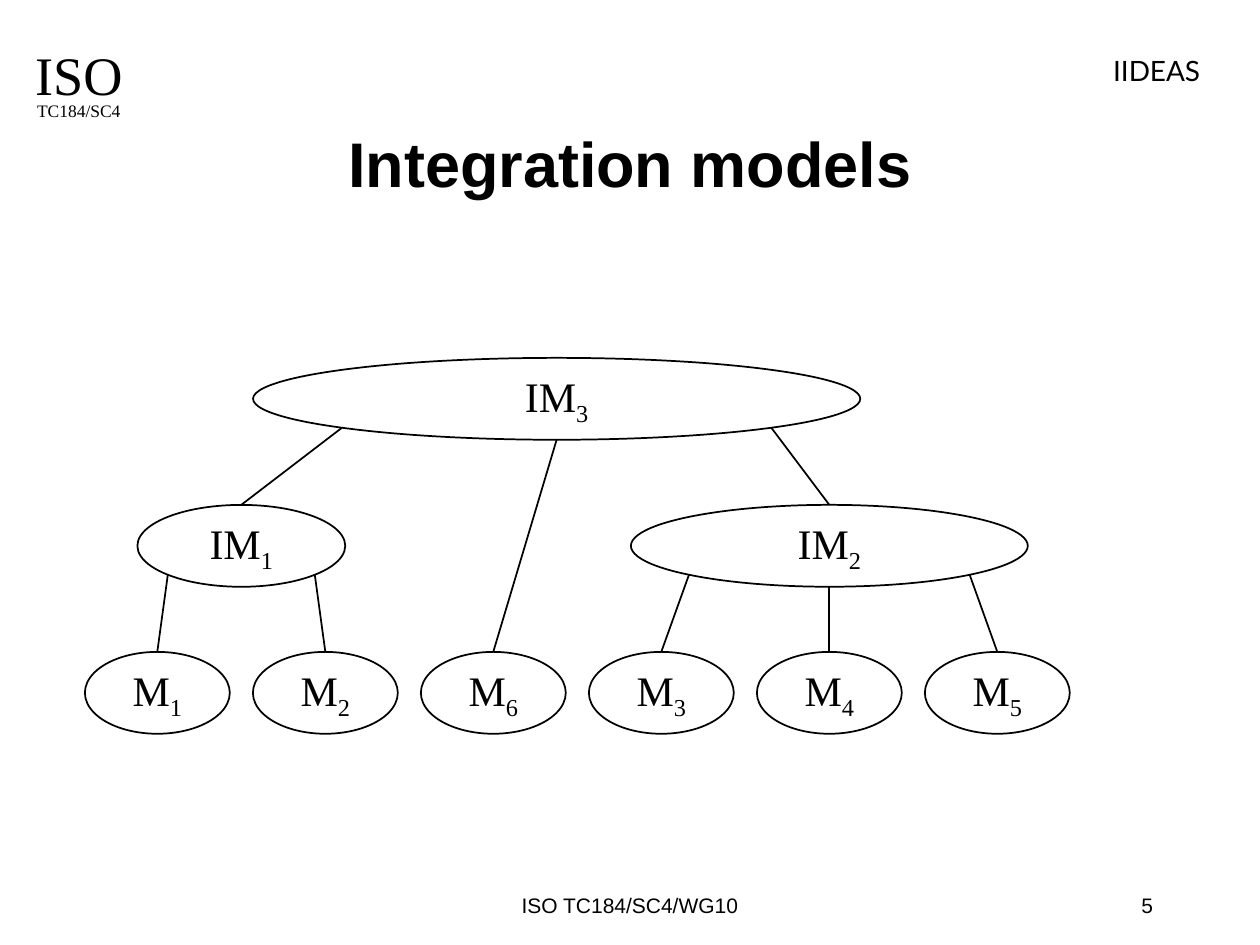
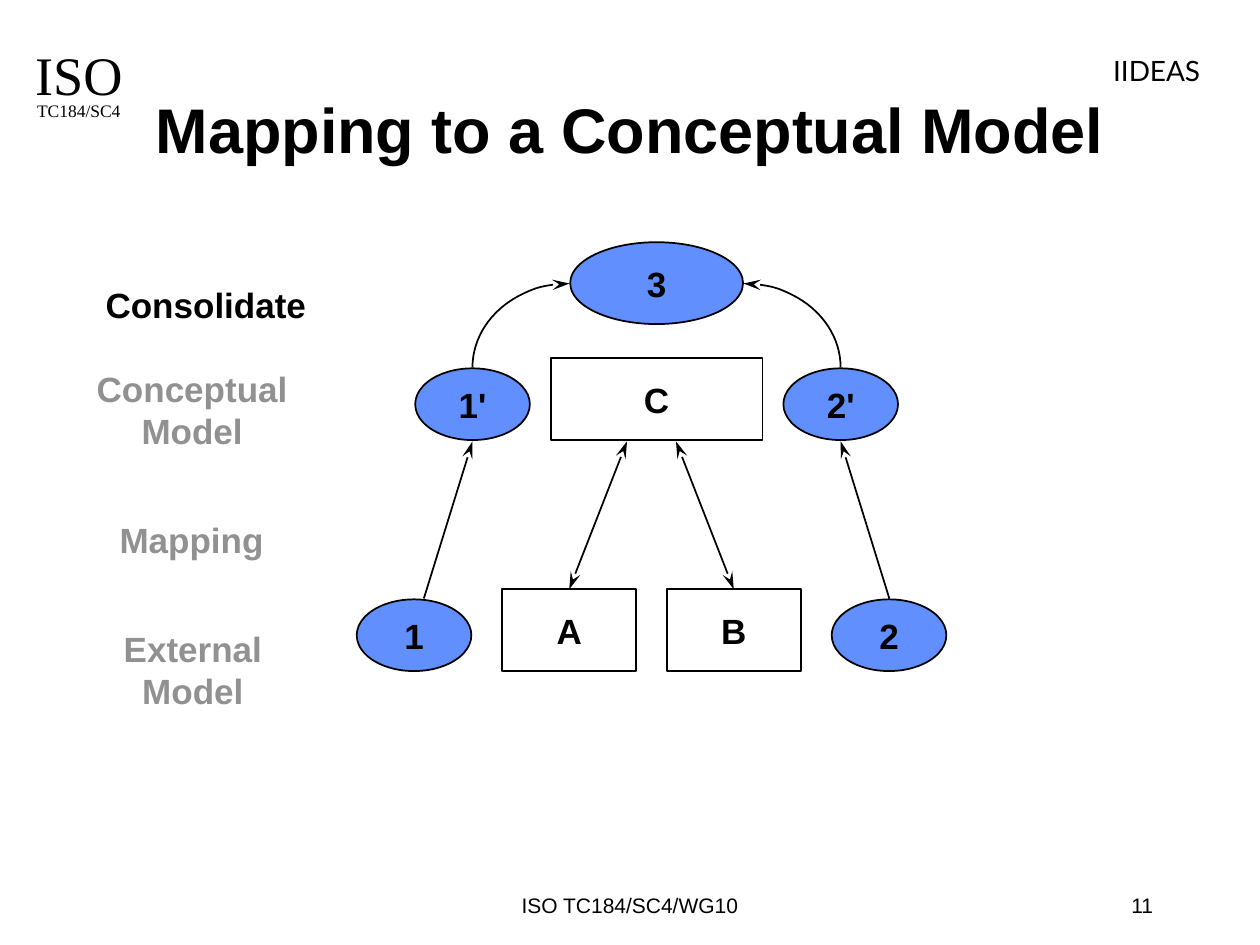
from lxml import etree
from pptx import Presentation
from pptx.dml.color import RGBColor
from pptx.enum.shapes import MSO_CONNECTOR, MSO_SHAPE
from pptx.enum.text import MSO_ANCHOR, MSO_AUTO_SIZE, PP_ALIGN
from pptx.oxml.ns import qn
from pptx.util import Pt

OVAL, RECT, ARC = MSO_SHAPE.OVAL, MSO_SHAPE.RECTANGLE, MSO_SHAPE.ARC
STRAIGHT = MSO_CONNECTOR.STRAIGHT
LEFT, CENTER, RIGHT = PP_ALIGN.LEFT, PP_ALIGN.CENTER, PP_ALIGN.RIGHT
TOP, MIDDLE, BOTTOM = MSO_ANCHOR.TOP, MSO_ANCHOR.MIDDLE, MSO_ANCHOR.BOTTOM

COLORS = {
    "ink": "000000",
    "paper": "FFFFFF",
    "faded": "919191",
    "instance": "618FFD",
}
SANS, SERIF, BRAND = "Arial", "Times New Roman", "Lato"
TITLE_ONLY = 5
TOP_SIDE = 0
DIAGONAL = 0.5 ** 0.5


def rgb(name):
    return RGBColor.from_string(COLORS[name])


def points(*lengths):
    return [Pt(round(length, 2)) for length in lengths]


def write(shape, text, size, font=SANS, color="ink", bold=False, align=CENTER,
          anchor=MIDDLE, wrap=False, subscript=""):
    frame = shape.text_frame
    frame.text = text
    frame.word_wrap = wrap
    frame.auto_size = MSO_AUTO_SIZE.NONE
    frame.vertical_anchor = anchor
    paragraph = frame.paragraphs[0]
    paragraph.alignment = align
    if subscript:
        lowered = paragraph.add_run()
        lowered.text = subscript
        lowered._r.get_or_add_rPr().set("baseline", "-25000")
    for run in paragraph.runs:
        run.font.name, run.font.size, run.font.bold = font, Pt(size), bold
        run.font.color.rgb = rgb(color)


def add_label(slide, box, text, size, **style):
    write(slide.shapes.add_textbox(*points(*box)), text, size, **style)


def add_outlined(slide, kind, box, fill=None):
    shape = slide.shapes.add_shape(kind, *points(*box))
    shape.shadow.inherit = False
    if fill:
        shape.fill.solid()
        shape.fill.fore_color.rgb = rgb(fill)
    else:
        shape.fill.background()
    draw_line(shape.line)
    return shape


def draw_line(line):
    line.color.rgb = rgb("ink")
    line.width = Pt(1)


def add_arrowheads(line, *ends):
    """Put a long stealth head on "headEnd" (start) and/or "tailEnd" (finish)."""
    for end in ends:
        head = etree.SubElement(line._get_or_add_ln(), qn("a:" + end))
        head.set("type", "stealth")
        head.set("len", "lg")


def add_link(slide, start, end, *heads):
    link = slide.shapes.add_connector(STRAIGHT, *points(*start, *end))
    draw_line(link.line)
    add_arrowheads(link.line, *heads)
    etree.SubElement(link._element.spPr, qn("a:effectLst"))
    return link


def add_committee_mark(slide, left, top):
    add_label(slide, (left, top, 54, 36), "ISO", 31, font=SERIF)
    add_label(slide, (left, top + 30, 54, 18), "TC184/SC4", 10, font=SERIF)


def add_project_name(slide, left, top):
    add_label(slide, (left, top, 65, 26.6), "IIDEAS", 16, font=BRAND,
              align=LEFT, anchor=TOP)


def add_footer(slide, top, number):
    style = {"anchor": BOTTOM, "wrap": True}
    add_label(slide, (216, top, 288, 36), "ISO TC184/SC4/WG10", 12, **style)
    add_label(slide, (516, top, 150, 36), str(number), 12, align=RIGHT, **style)


def add_page(deck, title, number, title_anchor):
    slide = deck.slides.add_slide(deck.slide_layouts[TITLE_ONLY])
    add_committee_mark(slide, 18, 24)
    add_project_name(slide, 629, 27)
    heading = slide.shapes.title
    heading.left, heading.top, heading.width, heading.height = points(54, 48, 612, 90)
    write(heading, title, 36, bold=True, anchor=title_anchor, wrap=True)
    add_footer(slide, 492, number)
    return slide


def add_model_tree(slide, left, top):
    pitch, level, height = 96, 84, 46.8
    leaf_width = 82.8
    models = {}

    def add_model(name, center, row, width):
        box = (left + center - width / 2, top + row * level, width, height)
        models[name] = add_outlined(slide, OVAL, box)
        write(models[name], name[:-1], 24, font=SERIF, subscript=name[-1])

    def link_child(parent, child, side):
        """Link from the parent's lower left (-1), bottom (0) or lower right (1)."""
        oval, target = models[parent], models[child]
        half_width, half_height = oval.width.pt / 2, oval.height.pt / 2
        x = oval.left.pt + half_width * (1 + side * DIAGONAL)
        y = oval.top.pt + half_height * (1 + (DIAGONAL if side else 1))
        link = add_link(slide, (x, y), (target.left.pt, target.top.pt))
        link.end_connect(target, TOP_SIDE)

    for column, name in enumerate(["M1", "M2", "M6", "M3", "M4", "M5"]):
        add_model(name, leaf_width / 2 + column * pitch, 2, leaf_width)
    add_model("IM1", leaf_width / 2 + pitch / 2, 1, 118.8)
    add_model("IM2", leaf_width / 2 + 4 * pitch, 1, 226.8)
    add_model("IM3", 269.6, 0, 347)

    children = {
        "IM1": {"M1": -1, "M2": 1},
        "IM2": {"M3": -1, "M4": 0, "M5": 1},
        "IM3": {"IM1": -1, "M6": 0, "IM2": 1},
    }
    for parent, sides in children.items():
        for child, side in sides.items():
            link_child(parent, child, side)


def add_stage_labels(slide, left, top):
    stages = [
        ("Consolidate", 0, 0, 141.8, 31, "ink"),
        ("Conceptual Model", 0, 48.2, 126, 55.4, "faded"),
        ("Mapping", 8, 134.6, 109.4, 31, "faded"),
        ("External Model", 8, 196.6, 110.9, 55.4, "faded"),
    ]
    for text, dx, dy, width, height, color in stages:
        add_label(slide, (left + dx, top + dy, width, height), text, 20,
                  color=color, bold=True, anchor=TOP, wrap=True)


def add_mapping_diagram(slide, axis, top):
    """Mirror the upper rows about axis, and the external row just left of it."""
    lower_axis = axis - 2.9
    upper_bottom = top + 113.3
    lower_bottom = top + 245.3

    def add_node(kind, text, center, bottom, width, height, fill):
        box = (center - width / 2, bottom - height, width, height)
        node = add_outlined(slide, kind, box, fill)
        write(node, text, 20, bold=True)
        return node

    add_node(RECT, "C", axis, upper_bottom, 121, 46.8, "paper")
    add_node(OVAL, "3", axis, top + 47, 98.8, 46.8, "instance")

    for side, schema, instance in [(-1, "A", "1"), (1, "B", "2")]:
        schema_box = add_node(RECT, schema, lower_axis + side * 47, lower_bottom,
                              76.5, 46.8, "paper")
        mapping = add_link(slide, (lower_axis, top),
                           (lower_axis + side * 14, upper_bottom + 0.7),
                           "headEnd", "tailEnd")
        mapping.begin_connect(schema_box, TOP_SIDE)

        mapped_center = axis + side * 105.2
        add_node(OVAL, instance, lower_axis + side * 135.7, lower_bottom,
                 65.5, 41, "instance")
        add_node(OVAL, instance + "'", mapped_center, upper_bottom,
                 65.5, 41, "instance")
        add_link(slide, (axis + side * 133, lower_bottom - 41.5),
                 (mapped_center, upper_bottom + 0.7), "tailEnd")

        arc_box = (axis + side * 49.7 - 55.5, top + 23.8, 111, 96)
        merge = add_outlined(slide, ARC, arc_box)
        if side < 0:
            merge.adjustments[0], merge.adjustments[1] = 108, 162
        add_arrowheads(merge.line, "tailEnd" if side < 0 else "headEnd")


def main():
    deck = Presentation()
    deck.slide_width, deck.slide_height = Pt(720), Pt(540)

    integration = add_page(deck, "Integration models", 5, MIDDLE)
    add_model_tree(integration, 48.5, 204.5)

    mapping = add_page(deck, "Mapping to a Conceptual Model", 11, TOP)
    add_stage_labels(mapping, 46.8, 158.4)
    add_mapping_diagram(mapping, 375.2, 138.2)

    deck.save("out.pptx")


if __name__ == "__main__":
    main()
